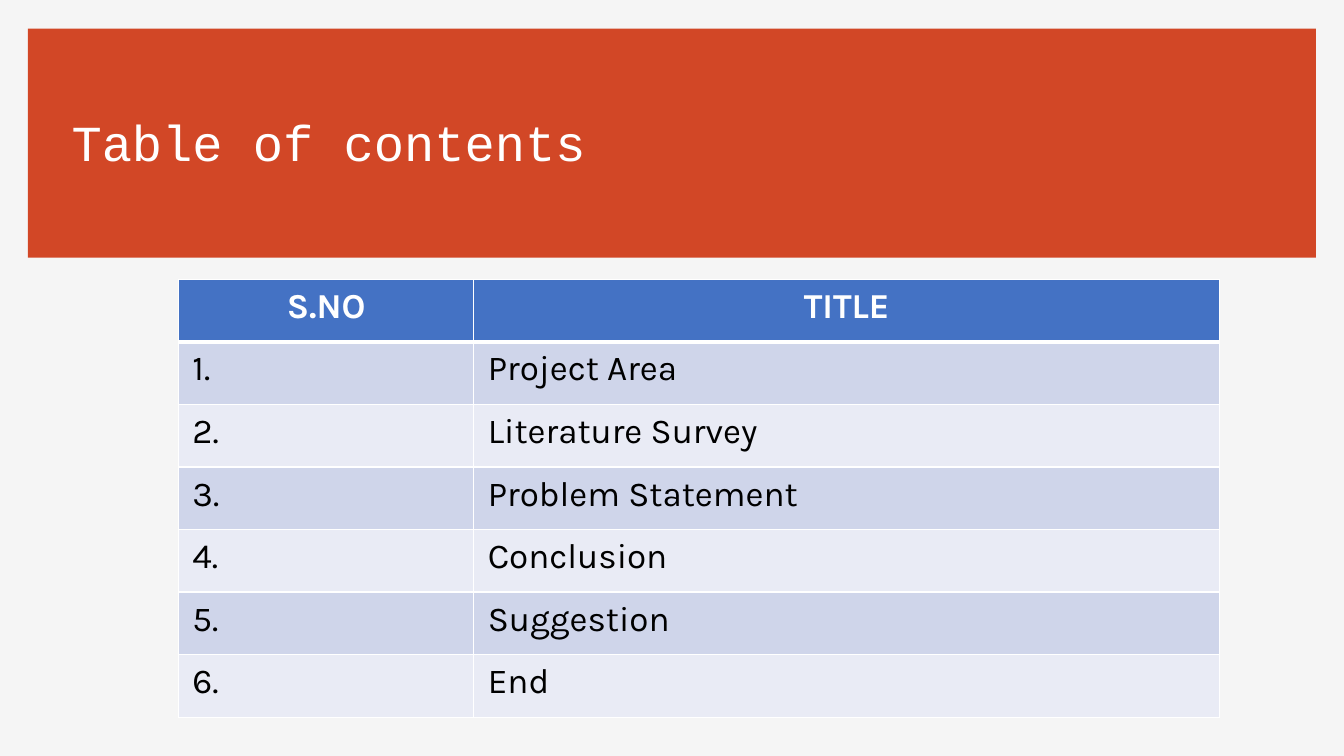
from lxml.etree import SubElement
from pptx import Presentation
from pptx.dml.color import RGBColor
from pptx.enum.shapes import MSO_SHAPE
from pptx.enum.text import MSO_ANCHOR, PP_ALIGN
from pptx.oxml import parse_xml
from pptx.oxml.ns import nsdecls, qn
from pptx.util import Pt

COLORS = {
    "background": "F5F5F5",
    "banner": "D24726",
    "header": "4472C4",
    "odd_row": "CFD5EA",
    "even_row": "E9EBF5",
    "white": "FFFFFF",
    "black": "000000",
}
TITLES = ["Project Area", "Literature Survey", "Problem Statement",
          "Conclusion", "Suggestion", "End"]


class ContentsSlide:
    title_font = "Courier New"
    table_font = "Karla"

    def __init__(self, slide):
        self.slide = slide
        self.paint(slide.background.fill, "background")

    def paint(self, fill, color):
        fill.solid()
        fill.fore_color.rgb = RGBColor.from_string(COLORS[color])

    def format_runs(self, paragraph, name, size, color, bold=False):
        for run in paragraph.runs:
            run.font.name = name
            run.font.size = Pt(size)
            run.font.bold = bold
            run.font.color.rgb = RGBColor.from_string(COLORS[color])

    def rectangle(self, left, top, width, height, color):
        shape = self.slide.shapes.add_shape(
            MSO_SHAPE.RECTANGLE, Pt(left), Pt(top), Pt(width), Pt(height))
        shape.shadow.inherit = False
        self.paint(shape.fill, color)
        shape.line.fill.background()

    def title(self, left, top, width, height, text):
        text_frame = self.slide.shapes.add_textbox(
            Pt(left), Pt(top), Pt(width), Pt(height)).text_frame
        text_frame.word_wrap = True
        text_frame.vertical_anchor = MSO_ANCHOR.MIDDLE
        text_frame.text = text
        paragraph = text_frame.paragraphs[0]
        paragraph.line_spacing = 0.9
        self.format_runs(paragraph, self.title_font, 36, "white")

    def borders(self, cell, top, bottom):
        properties = cell._tc.get_or_add_tcPr()
        widths = {"lnL": 1, "lnR": 1, "lnT": top, "lnB": bottom}
        for index, (side, width) in enumerate(widths.items()):
            line = parse_xml(f'<a:{side} {nsdecls("a")} w="{Pt(width)}"/>')
            fill = SubElement(line, qn("a:solidFill"))
            SubElement(fill, qn("a:srgbClr"), val=COLORS["white"])
            properties.insert(index, line)

    def cell(self, cell, text, row):
        header = row == 0
        cell.margin_left = cell.margin_right = Pt(10)
        cell.margin_top = cell.margin_bottom = Pt(5)
        cell.text_frame.text = text
        paragraph = cell.text_frame.paragraphs[0]
        paragraph.alignment = PP_ALIGN.CENTER if header else PP_ALIGN.LEFT
        self.format_runs(paragraph, self.table_font, 25,
                         "white" if header else "black", header)
        band = "odd_row" if row % 2 else "even_row"
        self.paint(cell.fill, "header" if header else band)
        self.borders(cell, 3 if row == 1 else 1, 3 if header else 1)

    def table(self, left, top, column_widths, row_height, rows):
        table = self.slide.shapes.add_table(
            len(rows), len(column_widths), Pt(left), Pt(top),
            Pt(sum(column_widths)), Pt(row_height * len(rows))).table
        for column, width in zip(table.columns, column_widths):
            column.width = Pt(width)
        for row, texts in enumerate(rows):
            table.rows[row].height = Pt(row_height)
            for column, text in enumerate(texts):
                self.cell(table.cell(row, column), text, row)


def main():
    presentation = Presentation()
    presentation.slide_width = Pt(960)
    presentation.slide_height = Pt(540)
    contents = ContentsSlide(
        presentation.slides.add_slide(presentation.slide_layouts[6]))
    contents.rectangle(20, 20.5, 920, 499, "background")
    contents.rectangle(20, 20.5, 920, 163.5, "banner")
    contents.title(44, 78.5, 541.5, 50.5, "Table of contents")
    numbered = [(f"{number}.", title) for number, title in enumerate(TITLES, 1)]
    contents.table(127.5, 199.5, [211, 532.5], 44.7,
                   [("S.NO", "TITLE")] + numbered)
    presentation.save("out.pptx")


if __name__ == "__main__":
    main()
